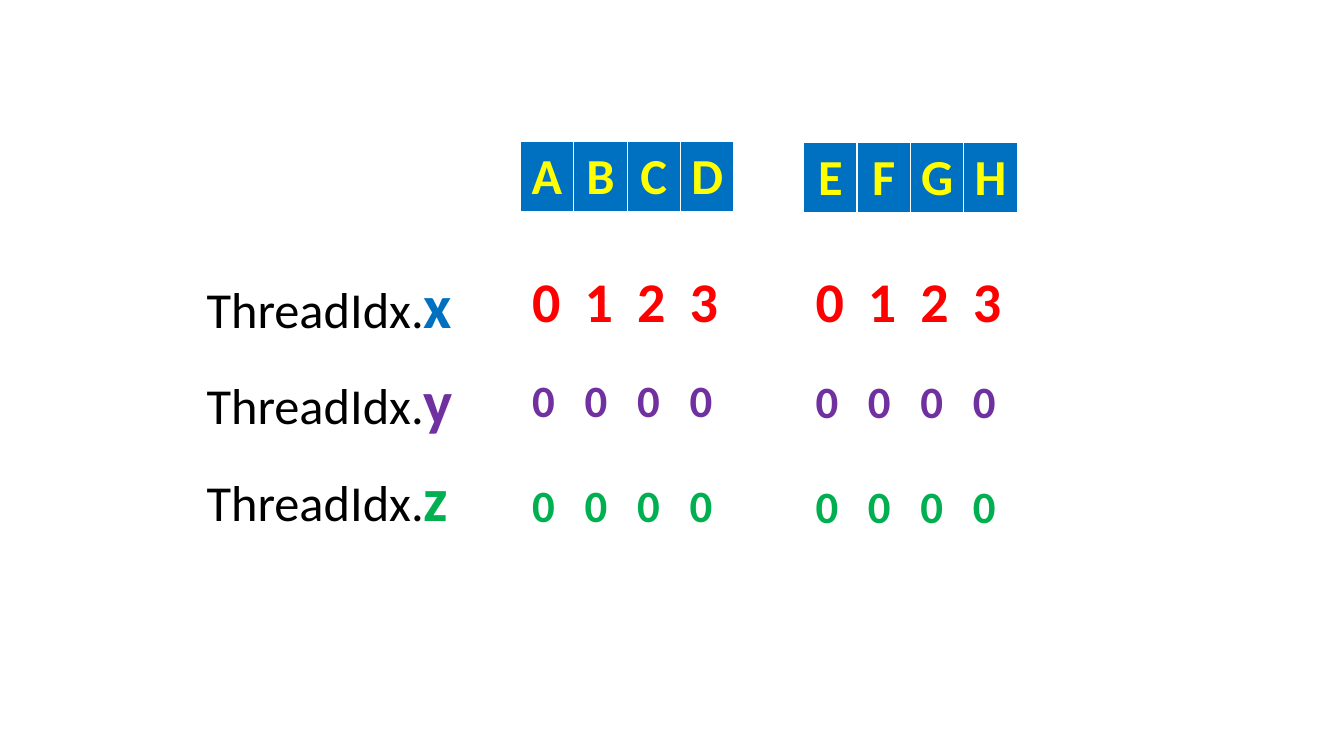
from dataclasses import dataclass

from lxml.etree import SubElement
from pptx import Presentation
from pptx.dml.color import RGBColor
from pptx.enum.text import MSO_ANCHOR as Anchor, MSO_AUTO_SIZE as AutoSize, PP_ALIGN as Align
from pptx.oxml.ns import qn
from pptx.util import Inches, Pt

FONT = "Calibri"
BLACK = RGBColor(0x00, 0x00, 0x00)
WHITE = RGBColor(0xFF, 0xFF, 0xFF)
BLUE = RGBColor(0x00, 0x70, 0xC0)
YELLOW = RGBColor(0xFF, 0xFF, 0x00)
RED = RGBColor(0xFF, 0x00, 0x00)
PURPLE = RGBColor(0x70, 0x30, 0xA0)
GREEN = RGBColor(0x00, 0xB0, 0x50)

CELL_WIDTH, CELL_HEIGHT = 0.53, 0.7
DIGIT_PITCH, DIGIT_WIDTH = 0.52, 0.35
DIGIT_INDENT = 0.02
LABEL_LEFT, LABEL_WIDTH, LABEL_HEIGHT = 1.95, 2.91, 0.84
BORDERS = {"a:lnL": 1, "a:lnR": 1, "a:lnT": 1, "a:lnB": 3}


@dataclass(frozen=True)
class Block:
    letters: str
    left: float
    drop: float


@dataclass(frozen=True)
class IndexRow:
    axis: str
    axis_color: RGBColor
    label_top: float
    digits: str
    digit_color: RGBColor
    digit_top: float
    digit_height: float
    digit_size: int


BLOCKS = [Block("ABCD", 5.16, 0), Block("EFGH", 7.97, 0.01)]
INDEX_ROWS = [
    IndexRow("x", BLUE, 2.6, "0123", RED, 2.59, 0.77, 40),
    IndexRow("y", PURPLE, 3.55, "0000", PURPLE, 3.65, 0.64, 32),
    IndexRow("z", GREEN, 4.51, "0000", GREEN, 4.69, 0.64, 32),
]


def add_span(para, text: str, *, size: int, color: RGBColor, bold: bool = False) -> None:
    span = para.add_run()
    span.text = text
    span.font.name = FONT
    span.font.size = Pt(size)
    span.font.bold = bold
    span.font.color.rgb = color


def add_box(page, left: float, top: float, width: float, height: float):
    box = page.shapes.add_textbox(Inches(left), Inches(top), Inches(width), Inches(height))
    box.text_frame.word_wrap = True
    box.text_frame.auto_size = AutoSize.SHAPE_TO_FIT_TEXT
    return box.text_frame.paragraphs[0]


def add_borders(cell, color: RGBColor) -> None:
    properties = cell._tc.get_or_add_tcPr()
    for position, (tag, width) in enumerate(BORDERS.items()):
        line = SubElement(properties, qn(tag), w=str(Pt(width)))
        fill = SubElement(line, qn("a:solidFill"))
        SubElement(fill, qn("a:srgbClr"), val=str(color))
        properties.insert(position, line)


def add_letters(page, block: Block) -> None:
    count = len(block.letters)
    frame = page.shapes.add_table(
        1, count, Inches(block.left), Inches(1.4 + block.drop),
        Inches(CELL_WIDTH * count), Inches(CELL_HEIGHT))
    for column, letter in enumerate(block.letters):
        frame.table.columns[column].width = Inches(CELL_WIDTH)
        cell = frame.table.cell(0, column)
        cell.fill.solid()
        cell.fill.fore_color.rgb = BLUE
        cell.vertical_anchor = Anchor.MIDDLE
        add_borders(cell, WHITE)
        para = cell.text_frame.paragraphs[0]
        para.alignment = Align.CENTER
        add_span(para, letter, size=36, color=YELLOW, bold=True)


def add_label(page, row: IndexRow) -> None:
    para = add_box(page, LABEL_LEFT, row.label_top, LABEL_WIDTH, LABEL_HEIGHT)
    add_span(para, "ThreadIdx.", size=36, color=BLACK)
    add_span(para, row.axis, size=44, color=row.axis_color, bold=True)


def add_digits(page, row: IndexRow, block: Block) -> None:
    for column, digit in enumerate(row.digits):
        left = block.left + DIGIT_INDENT + column * DIGIT_PITCH
        para = add_box(page, left, row.digit_top + block.drop, DIGIT_WIDTH, row.digit_height)
        add_span(para, digit, size=row.digit_size, color=row.digit_color, bold=True)


deck = Presentation()
deck.slide_width, deck.slide_height = Inches(13.33), Inches(7.5)
page = deck.slides.add_slide(deck.slide_layouts[6])

for block in BLOCKS:
    add_letters(page, block)
for row in INDEX_ROWS:
    add_label(page, row)
    for block in BLOCKS:
        add_digits(page, row, block)

deck.save("out.pptx")
